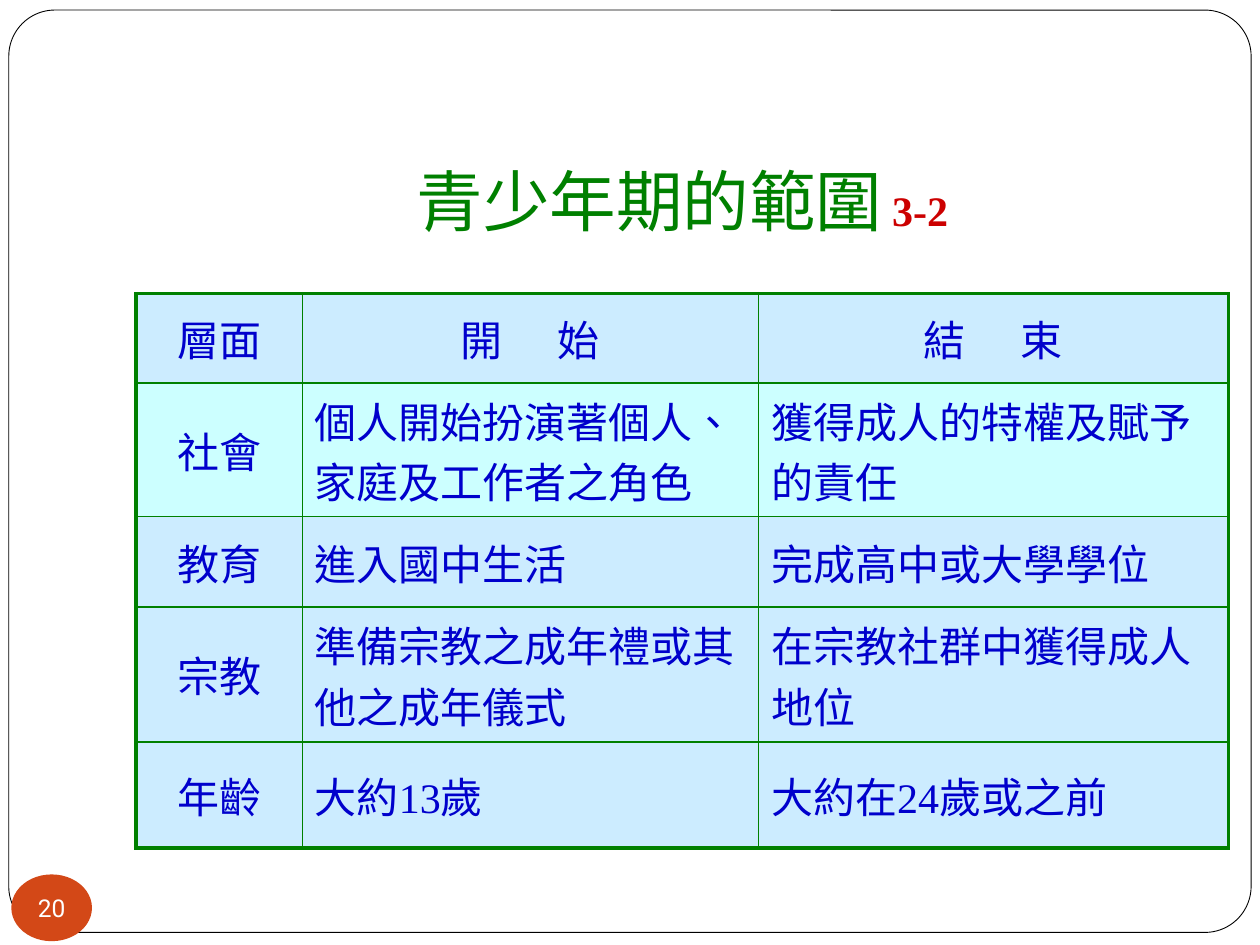
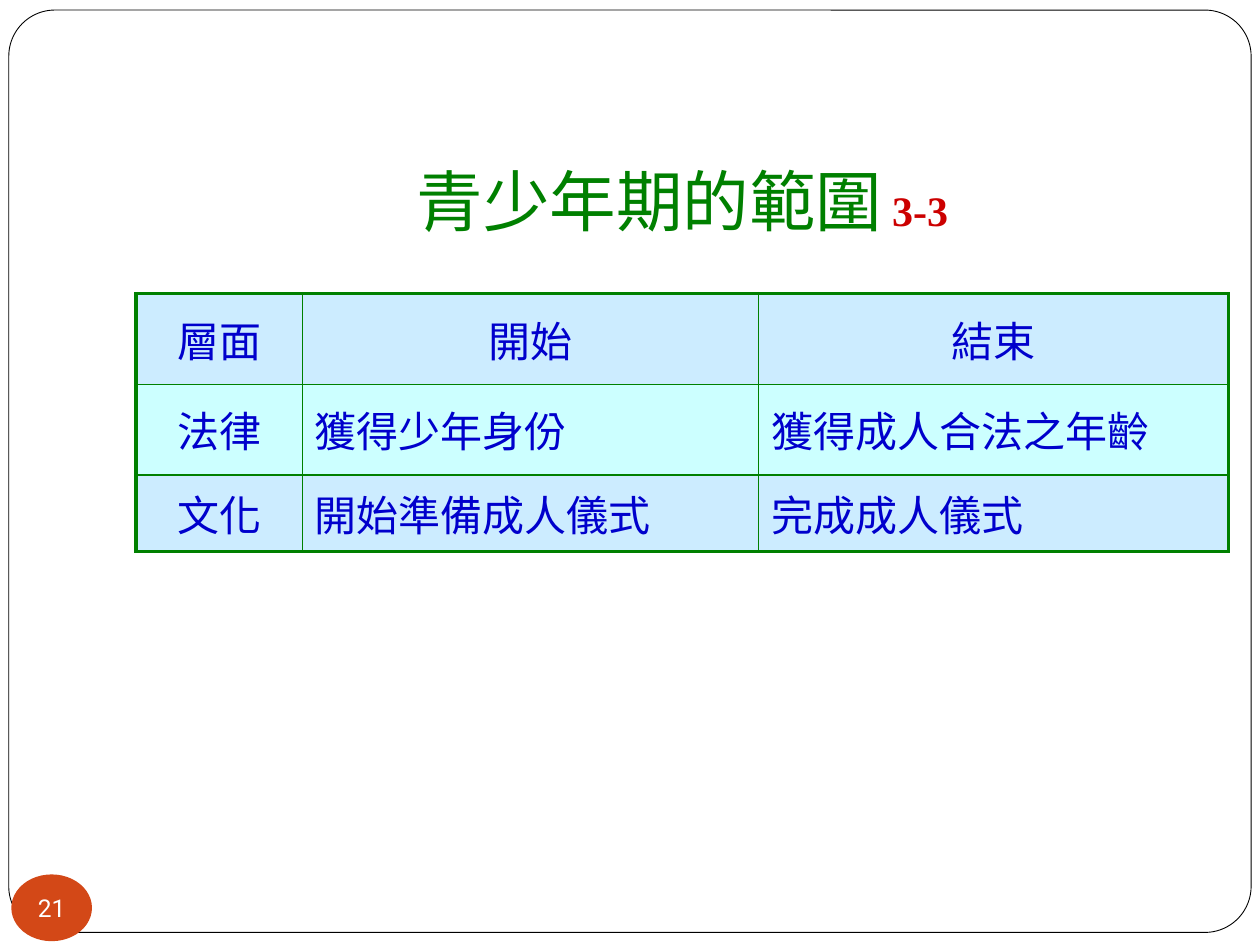
"""Build two slides of tables on the range of adolescence."""
import pptx
import pptx.util
import pptx.dml.color
import pptx.enum.lang
import pptx.enum.shapes
import pptx.enum.text
import lxml.etree
from pptx.oxml.ns import qn

Inches, Pt = pptx.util.Inches, pptx.util.Pt
RGBColor = pptx.dml.color.RGBColor
SHAPE = pptx.enum.shapes.MSO_SHAPE
ALIGN = pptx.enum.text.PP_ALIGN
ANCHOR = pptx.enum.text.MSO_ANCHOR

WHITE = RGBColor(0xFF, 0xFF, 0xFF)
BLACK = RGBColor(0, 0, 0)
GREEN = RGBColor(0, 0x80, 0)
RED = RGBColor(0xCC, 0, 0)
BLUE = RGBColor(0, 0, 0xCC)
ORANGE = RGBColor(0xD3, 0x48, 0x17)
PALE_BLUE = RGBColor(0xCC, 0xEC, 0xFF)
PALE_CYAN = RGBColor(0xCC, 0xFF, 0xFF)
SERIF, SANS, NUMBER_FONT = "Times New Roman", "Arial", "Roboto"

TITLE = "青少年期的範圍"
LEFT, WIDTH = 1.08, 8.67
COLUMN_WIDTHS = (1.32, 3.62, 3.73)
OUTER_LINE, INNER_LINE = 2.25, 1
PAGES = [
    {
        "number": "20",
        "part": "3-2",
        "heading_spacing": 13,
        "row_heights": (0.71, 1.06, 0.72, 1.07, 0.84),
        "rows": [
            ("層面", "開 始", "結 束"),
            ("社會", "個人開始扮演著個人、家庭及工作者之角色", "獲得成人的特權及賦予的責任"),
            ("教育", "進入國中生活", "完成高中或大學學位"),
            ("宗教", "準備宗教之成年禮或其他之成年儀式", "在宗教社群中獲得成人地位"),
            ("年齡", "大約13歲", "大約在24歲或之前"),
        ],
    },
    {
        "number": "21",
        "part": "3-3",
        "heading_spacing": 0,
        "row_heights": (0.72, 0.72, 0.61),
        "rows": [
            ("層面", "開始", "結束"),
            ("法律", "獲得少年身份", "獲得成人合法之年齡"),
            ("文化", "開始準備成人儀式", "完成成人儀式"),
        ],
    },
]


def add_text(paragraph, text, size=24, font=SERIF, color=BLUE, bold=False,
             align=ALIGN.CENTER, spacing=0):
    paragraph.alignment = align
    run = paragraph.add_run()
    run.text = text
    run.font.size = Pt(size)
    run.font.name = font
    run.font.bold = bold
    run.font.color.rgb = color
    run.font.language_id = pptx.enum.lang.MSO_LANGUAGE_ID.TRADITIONAL_CHINESE
    if spacing:
        run.font._element.set("spc", str(spacing * 100))


def set_margins(frame, left, top, right, bottom):
    frame.margin_left, frame.margin_top = Inches(left), Inches(top)
    frame.margin_right, frame.margin_bottom = Inches(right), Inches(bottom)


def add_panel(slide, kind, left, top, width, height, fill, line=None):
    panel = slide.shapes.add_shape(
        kind, Inches(left), Inches(top), Inches(width), Inches(height))
    panel.shadow.inherit = False
    panel.fill.solid()
    panel.fill.fore_color.rgb = fill
    if line is None:
        panel.line.fill.background()
    else:
        panel.line.color.rgb = line
        panel.line.width = Pt(0.5)
    return panel


def set_borders(cell, widths):
    properties = cell._tc.get_or_add_tcPr()
    for position, (side, width) in enumerate(widths.items()):
        border = lxml.etree.Element(qn("a:ln" + side), w=str(Pt(width)))
        fill = lxml.etree.SubElement(border, qn("a:solidFill"))
        lxml.etree.SubElement(fill, qn("a:srgbClr"), val=str(GREEN))
        properties.insert(position, border)


def add_title(slide, part):
    title = slide.shapes.add_textbox(
        Inches(LEFT), Inches(0.99), Inches(WIDTH), Inches(1.01)).text_frame
    title.word_wrap = True
    title.vertical_anchor = ANCHOR.BOTTOM
    set_margins(title, 0.1, 0.05, 0.1, 0.1)
    add_text(title.paragraphs[0], TITLE, size=38, color=GREEN)
    add_text(title.paragraphs[0], " " + part, color=RED, bold=True)


def add_aspects(slide, page):
    rows, heights = page["rows"], page["row_heights"]
    aspects = slide.shapes.add_table(
        len(rows), len(COLUMN_WIDTHS), Inches(LEFT), Inches(2.33),
        Inches(WIDTH), Inches(sum(heights))).table
    aspects.first_row = aspects.horz_banding = False
    for column, width in zip(aspects.columns, COLUMN_WIDTHS):
        column.width = Inches(width)
    last_row, last_column = len(rows) - 1, len(COLUMN_WIDTHS) - 1
    for r, row in enumerate(rows):
        aspects.rows[r].height = Inches(heights[r])
        for c, text in enumerate(row):
            cell = aspects.cell(r, c)
            cell.vertical_anchor = ANCHOR.MIDDLE
            cell.fill.solid()
            cell.fill.fore_color.rgb = PALE_CYAN if r == 1 else PALE_BLUE
            edges = {"L": c == 0, "R": c == last_column,
                     "T": r == 0, "B": r == last_row}
            set_borders(cell, {side: OUTER_LINE if outer else INNER_LINE
                               for side, outer in edges.items()})
            paragraph = cell.text_frame.paragraphs[0]
            paragraph.space_before = Pt(4.8)
            style = {"font": SERIF if r else SANS,
                     "align": ALIGN.LEFT if r and c else ALIGN.CENTER}
            if " " in text:
                add_text(paragraph, text[:-1], spacing=page["heading_spacing"], **style)
                text = text[-1]
            add_text(paragraph, text, **style)


def add_number(slide, number):
    badge = add_panel(slide, SHAPE.OVAL, 0.09, 6.94, 0.64, 0.53, ORANGE).text_frame
    badge.word_wrap = False
    badge.vertical_anchor = ANCHOR.MIDDLE
    set_margins(badge, 0, 0, 0, 0)
    add_text(badge.paragraphs[0], number, size=14, font=NUMBER_FONT, color=WHITE)


deck = pptx.Presentation()
deck.slide_width, deck.slide_height = Inches(10), Inches(7.5)
for page in PAGES:
    slide = deck.slides.add_slide(deck.slide_layouts[6])
    frame = add_panel(slide, SHAPE.ROUNDED_RECTANGLE, 0.07, 0.08, 9.86, 7.32, WHITE, BLACK)
    frame.adjustments[0] = 0.05
    add_title(slide, page["part"])
    add_aspects(slide, page)
    add_number(slide, page["number"])
deck.save("out.pptx")
